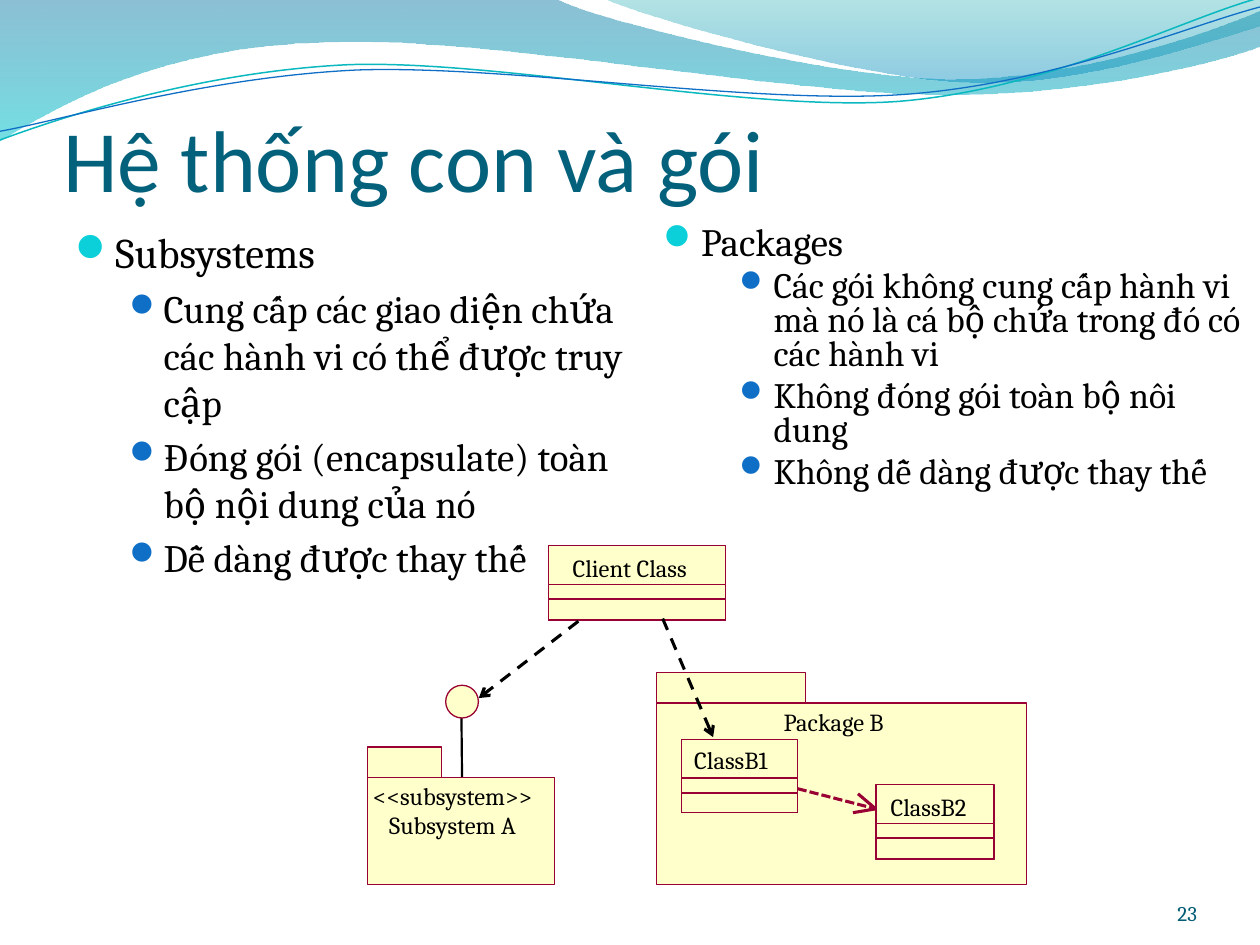
from pptx import Presentation
from pptx.dml.color import RGBColor
from pptx.enum import dml, shapes, text
from pptx.oxml.ns import qn
from pptx.util import Pt
from lxml import etree

THEME = {
    "title": "04617B", "number": "045D75", "ink": "000000", "box": "FFFFCC", "edge": "990033",
    "bullet": ("0BD0D9", "0F6FC6"), "heading_font": "Calibri", "body_font": "Cambria",
    "bullet_font": "Wingdings 2", "title_size": 50, "label_size": 14, "number_size": 12,
}

# Content, lengths in points
TITLE = "Hệ thống con và gói"
PAGE_NUMBER = "23"
COLUMNS = [
    {"area": (36, 126, 348, 180), "sizes": (24.1, 22.2), "indents": (21.6, 50.4), "spacing": 1,
     "lines": ["Subsystems", "Cung cấp các giao diện chứa các hành vi có thể được truy cập",
               "Đóng gói (encapsulate) toàn bộ nội dung của nó", "Dễ dàng được thay thế"]},
    {"area": (372, 126, 348, 174), "sizes": (22.1, 20.4), "indents": (21.6, 63), "spacing": 0.8,
     "lines": ["Packages", "Các gói không cung cấp hành vi mà nó là cá bộ chứa trong đó có các hành vi",
               "Không đóng gói toàn bộ nôi dung", "Không dễ dàng được thay thế"]},
]
HANGING = (21.6, 19.4)
BULLET, BULLET_SCALE = "\uf097", (95, 85)

# Waves: one point is a straight step, three points a curve
FILLED_WAVES = [
    ([[(0, 0)], [(317, -1)], [(343, 12), (478, 45), (546, 45)], [(614, 45), (690, 19), (720, 6)],
      [(721, 26)], [(708, 32), (626, 55), (537, 54)], [(448, 54), (275, 20), (185, 24)],
      [(93, 26), (33, 60), (-1, 81)]], [("0074A1", 45), ("00C6CF", 55)]),
    ([[(345, -1)], [(366, 9), (491, 45), (554, 47)], [(618, 50), (692, 23), (720, 15)],
      [(720, 0)]], [("00A1A9", 30), ("008BBF", 45)]),
]
LINE_WAVES = [
    ([[(0, 80)], [(35, 67), (114, 41), (199, 37)], [(284, 34), (427, 64), (513, 58)],
      [(600, 51), (675, 11), (719, -1)]], "0AB8BF", 0.85),
    ([[(0, 75)], [(34, 69), (118, 44), (204, 40)], [(290, 37), (430, 60), (516, 54)],
      [(602, 48), (678, 15), (720, 4)]], "0F6FC6", 0.75),
]

# Diagram: area, tab width, labels with their indent and width
PACKAGES = [
    ((210.2, 444.2, 106.6, 61.2), 42.2, [("<<subsystem>>", 2.9, 99.4), ("Subsystem A", 12.2, 82)]),
    ((375.1, 401.8, 211.7, 103.7), 85, [("Package B", 72.7, 67.7)]),
]
# Area, label, its indent, its drop and its width
CLASSES = [
    ((389.5, 422.6, 66.2, 41.8), "ClassB1", 7.2, 2.9, 51.8),
    ((500.6, 448.4, 67.5, 42.5), "ClassB2", 8.3, 4.3, 51.8),
    ((313.6, 311.8, 101, 42.5), "Client Class", 13.6, 4.3, 74.9),
]
TAB_HEIGHT, LABEL_HEIGHT, DIVIDERS = 17.3, 16.6, (22, 30.5)
INTERFACE = (254.7, 391.6, 18.7, 18.7)
STEM = ((264.1, 449.3), (263.7, 409))
TIP = (500.4, 462.2)
RELATION = [((455.8, 450.7), TIP, dml.MSO_LINE.SQUARE_DOT),
            (TIP, (490.3, 453.6), None), (TIP, (487.4, 464.4), None)]
DEPENDENCIES = [((330.5, 355), (273.6, 398.9)), ((378.7, 353.5), (407.5, 421.2))]


def rgb(value):
    return RGBColor.from_string(value)


def points(values):
    return [Pt(value) for value in values]


def style(paragraph, size, color, font=THEME["body_font"]):
    for run in paragraph.runs:
        run.font.size, run.font.name = Pt(size), font
        run.font.color.rgb = rgb(color)


def add_text(area, lines, anchor=text.MSO_ANCHOR.TOP, inset=0, wrap=True):
    box = slide.shapes.add_textbox(*points(area))
    frame = box.text_frame
    frame.word_wrap, frame.vertical_anchor = wrap, anchor
    frame.margin_left = frame.margin_right = Pt(inset)
    frame.margin_top = frame.margin_bottom = Pt(inset / 2)
    frame.text = "\n".join(lines)
    return frame


def add_label(left, top, width, label):
    frame = add_text((left, top, width, LABEL_HEIGHT), [label], wrap=False)
    frame.auto_size = text.MSO_AUTO_SIZE.SHAPE_TO_FIT_TEXT
    style(frame.paragraphs[0], THEME["label_size"], THEME["ink"])


def add_box(area, filled=True, kind=shapes.MSO_SHAPE.RECTANGLE):
    shape = slide.shapes.add_shape(kind, *points(area))
    shape.shadow.inherit = False
    if filled:
        shape.fill.solid()
        shape.fill.fore_color.rgb = rgb(THEME["box"])
    else:
        shape.fill.background()
    shape.line.color.rgb, shape.line.width = rgb(THEME["edge"]), Pt(0)


def add_line(start, end, color, width, dash=None, arrow=False):
    line = slide.shapes.add_connector(shapes.MSO_CONNECTOR.STRAIGHT, *points(start + end))
    line.line.color.rgb, line.line.width = rgb(color), Pt(width)
    if dash:
        line.line.dash_style = dash
    if arrow:
        etree.SubElement(line.line._get_or_add_ln(), qn("a:tailEnd"), type="arrow")
    etree.SubElement(line._element.spPr, qn("a:effectLst"))


def add_wave(steps, closed):
    corners = [tuple(points(step[-1])) for step in steps]
    builder = slide.shapes.build_freeform(*corners[0], scale=1.0)
    builder.add_line_segments(corners[1:], close=closed)
    wave = builder.convert_to_shape()
    wave.shadow.inherit = False
    # Bend the straight segments that have control points
    segments = list(wave._element.spPr.iter(qn("a:lnTo")))
    for segment, step in zip(segments, steps[1:]):
        if len(step) == 3:
            segment.tag = qn("a:cubicBezTo")
            for index, (x, y) in enumerate(step[:2]):
                control = etree.Element(qn("a:pt"), x=str(Pt(x) - wave.left), y=str(Pt(y) - wave.top))
                segment.insert(index, control)
    return wave


presentation = Presentation()
presentation.slide_width, presentation.slide_height = Pt(720), Pt(540)
slide = presentation.slides.add_slide(presentation.slide_layouts[5])

# Waves
for steps, colors in FILLED_WAVES:
    wave = add_wave(steps, True)
    wave.line.fill.background()
    wave.fill.gradient()
    wave.fill.gradient_angle = 270
    for stop, (color, opacity) in zip(wave.fill.gradient_stops, colors):
        stop.color.rgb = rgb(color)
    for node, (color, opacity) in zip(wave._element.spPr.iter(qn("a:srgbClr")), colors):
        etree.SubElement(node, qn("a:alpha"), val=str(opacity * 1000))
for steps, color, width in LINE_WAVES:
    wave = add_wave(steps, False)
    wave.fill.background()
    wave.line.color.rgb, wave.line.width = rgb(color), Pt(width)

# Title and page number
title = slide.shapes.title
title.left, title.top, title.width, title.height = points((36, 55.4, 648, 64.8))
frame = title.text_frame
frame.text = TITLE
frame.auto_size, frame.vertical_anchor = text.MSO_AUTO_SIZE.NONE, text.MSO_ANCHOR.BOTTOM
frame.margin_left = frame.margin_right = frame.margin_bottom = 0
frame.paragraphs[0].alignment = text.PP_ALIGN.LEFT
style(frame.paragraphs[0], THEME["title_size"], THEME["title"], THEME["heading_font"])
frame = add_text((624.2, 500.4, 59.8, 28.8), [PAGE_NUMBER], text.MSO_ANCHOR.BOTTOM)
frame.paragraphs[0].alignment = text.PP_ALIGN.RIGHT
style(frame.paragraphs[0], THEME["number_size"], THEME["number"])

# Bulleted columns
for column in COLUMNS:
    frame = add_text(column["area"], column["lines"], inset=7.2)
    for index, paragraph in enumerate(frame.paragraphs):
        level = min(index, 1)
        size = column["sizes"][level]
        style(paragraph, size, THEME["ink"])
        paragraph.level = level
        paragraph.line_spacing, paragraph.space_before = column["spacing"], Pt(size * 0.2)
        properties = paragraph._p.get_or_add_pPr()
        properties.set("marL", str(Pt(column["indents"][level])))
        properties.set("indent", str(-Pt(HANGING[level])))
        bullet_color = etree.SubElement(properties, qn("a:buClr"))
        etree.SubElement(bullet_color, qn("a:srgbClr"), val=THEME["bullet"][level])
        etree.SubElement(properties, qn("a:buSzPct"), val=str(BULLET_SCALE[level] * 1000))
        etree.SubElement(properties, qn("a:buFont"), typeface=THEME["bullet_font"])
        etree.SubElement(properties, qn("a:buChar"), char=BULLET)

# Packages with the interface
add_line(*STEM, THEME["ink"], 1.25)
add_box(INTERFACE, kind=shapes.MSO_SHAPE.OVAL)
for (left, top, width, height), tab_width, labels in PACKAGES:
    add_box((left, top, width, height))
    add_box((left, top - TAB_HEIGHT, tab_width, TAB_HEIGHT))
    for row, (label, indent, label_width) in enumerate(labels):
        add_label(left + indent, top + 2 + row * LABEL_HEIGHT, label_width, label)

# Classes with their compartments
for (left, top, width, height), label, indent, drop, label_width in CLASSES:
    add_box((left, top, width, height))
    for offset in DIVIDERS:
        add_box((left, top + offset, width, height - offset), filled=False)
    add_label(left + indent, top + drop, label_width, label)

# Relations
for start, end, dash in RELATION:
    add_line(start, end, THEME["edge"], 1.75, dash)
for start, end in DEPENDENCIES:
    add_line(start, end, THEME["ink"], 1.75, dml.MSO_LINE.DASH, arrow=True)

presentation.save("out.pptx")
